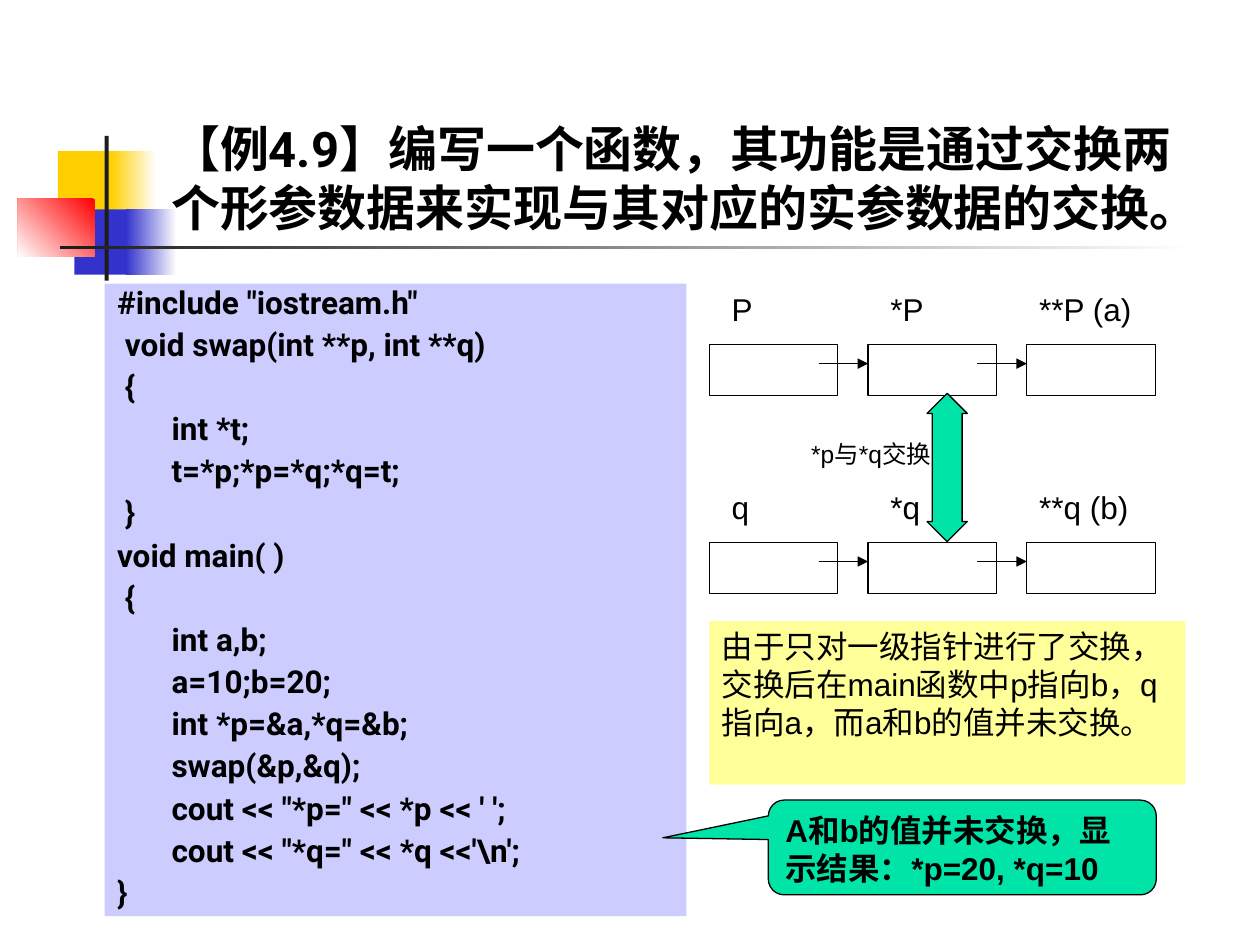
from lxml import etree
from pptx import Presentation
from pptx.dml.color import RGBColor
from pptx.enum.shapes import MSO_CONNECTOR, MSO_SHAPE
from pptx.enum.text import MSO_ANCHOR, PP_ALIGN
from pptx.oxml.ns import qn
from pptx.util import Cm, Pt

RECTANGLE = MSO_SHAPE.RECTANGLE
DOUBLE_ARROW = MSO_SHAPE.UP_DOWN_ARROW
CALLOUT = MSO_SHAPE.ROUNDED_RECTANGULAR_CALLOUT
STRAIGHT = MSO_CONNECTOR.STRAIGHT
TOP, BOTTOM = MSO_ANCHOR.TOP, MSO_ANCHOR.BOTTOM
LEFT = PP_ALIGN.LEFT

BLACK = RGBColor(0x00, 0x00, 0x00)
WHITE = RGBColor(0xFF, 0xFF, 0xFF)
CHARCOAL = RGBColor(0x1C, 0x1C, 0x1C)
GOLD = RGBColor(0xFF, 0xCF, 0x01)
BLUE = RGBColor(0x33, 0x33, 0xCC)
RED = RGBColor(0xFF, 0x00, 0x00)
LAVENDER = RGBColor(0xCC, 0xCC, 0xFF)
GREEN = RGBColor(0x00, 0xE4, 0xA8)
YELLOW = RGBColor(0xFF, 0xFF, 0x99)

TITLE_PARTS = [
    ("【例", "Times New Roman"),
    ("4.9", "Roboto"),
    ("】编写一个函数，其功能是通过交换两个形参数据来实现与其对应的实参数据的交换。",
     "Times New Roman"),
]
CODE_INDENTS = [0, 0.16, 1.1]
CODE_LINES = [
    (0, '#include "iostream.h"'),
    (1, "void swap(int **p, int **q)"),
    (1, "{"),
    (2, "int *t;"),
    (2, "t=*p;*p=*q;*q=t;"),
    (1, "}"),
    (0, "void main( )"),
    (1, "{"),
    (2, "int a,b;"),
    (2, "a=10;b=20;"),
    (2, "int *p=&a,*q=&b;"),
    (2, "swap(&p,&q);"),
    (2, "cout << \"*p=\" << *p << ' ';"),
    (2, "cout << \"*q=\" << *q <<'\\n';"),
    (0, "}"),
]


def add_box(slide, box, fill=None, line=None, kind=RECTANGLE):
    shape = slide.shapes.add_shape(kind, *map(Cm, box))
    shape.shadow.inherit = False
    if fill is None:
        shape.fill.background()
    else:
        shape.fill.solid()
        shape.fill.fore_color.rgb = fill
    if line is None:
        shape.line.fill.background()
    else:
        shape.line.color.rgb = line
        shape.line.width = Pt(0.75)
    return shape


def add_gradient(slide, box, colors, angle):
    shape = add_box(slide, box)
    shape.fill.gradient()
    shape.fill.gradient_angle = angle
    for stop, color in zip(shape.fill.gradient_stops, colors):
        stop.color.rgb = color


def style_run(run, size, font="Arial", bold=False):
    run.font.size = Pt(size)
    run.font.name = font
    run.font.bold = bold
    run.font.color.rgb = BLACK


def write(shape, text, size=18, bold=False):
    frame = shape.text_frame
    frame.word_wrap = True
    frame.vertical_anchor = TOP
    frame.text = text
    paragraph = frame.paragraphs[0]
    paragraph.alignment = LEFT
    style_run(paragraph.runs[0], size, bold=bold)


def add_label(slide, box, text, size=18):
    write(slide.shapes.add_textbox(*map(Cm, box)), text, size)


def add_arrow(slide, left, right, y):
    arrow = slide.shapes.add_connector(STRAIGHT, Cm(left), Cm(y), Cm(right), Cm(y))
    arrow.line.color.rgb = BLACK
    arrow.line.width = Pt(0.75)
    etree.SubElement(arrow.line._get_or_add_ln(), qn("a:tailEnd"), type="triangle")
    etree.SubElement(arrow._element.spPr, qn("a:effectLst"))


def draw_ornament(slide, box):
    left, top, width, height = box
    middle = top + 1.48
    add_box(slide, (left + 0.81, top + 0.31, 1.22, 1.32), GOLD)
    add_gradient(slide, (left + 1.88, top + 0.31, 0.91, 1.32), (WHITE, GOLD), 180)
    add_box(slide, (left + 1.14, middle, 1.17, 1.32), BLUE)
    add_gradient(slide, (left + 2.18, middle, 1.02, 1.32), (WHITE, BLUE), 180)
    add_gradient(slide, (left, top + 1.27, 1.55, 1.17), (RED, WHITE), 225)
    add_box(slide, (left + 1.75, top, 0.08, height), CHARCOAL)
    add_gradient(slide, (left + 0.86, top + 2.21, width - 0.86, 0.08),
                 (WHITE, CHARCOAL), 180)


def draw_title(slide, box):
    frame = slide.shapes.add_textbox(*map(Cm, box)).text_frame
    frame.word_wrap = True
    frame.vertical_anchor = BOTTOM
    for text, font in TITLE_PARTS:
        run = frame.paragraphs[0].add_run()
        run.text = text
        style_run(run, 28, font, True)


def draw_code(slide, box):
    frame = add_box(slide, box, LAVENDER).text_frame
    frame.word_wrap = True
    frame.vertical_anchor = TOP
    frame.text = "\n".join(text for _, text in CODE_LINES)
    for paragraph, (level, _) in zip(frame.paragraphs, CODE_LINES):
        paragraph.alignment = LEFT
        paragraph.line_spacing = 0.8
        paragraph.space_before = Pt(6.8)
        paragraph._p.get_or_add_pPr().set("marL", str(Cm(CODE_INDENTS[level])))
        style_run(paragraph.runs[0], 18, "Roboto", True)


def draw_pointer_row(slide, left, top, labels):
    cell_width, pitch = 2.59, 3.2
    last = len(labels) - 1
    for index, label in enumerate(labels):
        cell_left = left + index * pitch
        add_box(slide, (cell_left, top + 1.22, cell_width, 1.04), line=BLACK)
        if index < last:
            add_label(slide, (cell_left + 0.2, top, 2, 1.02), label)
            add_arrow(slide, cell_left + 2.2, cell_left + pitch, top + 1.61)
        else:
            add_label(slide, (cell_left, top, cell_width, 1.02), label)


def draw_swap_diagram(slide, box):
    left, top, _, height = box
    draw_pointer_row(slide, left, top + height - 2.26, ["q", "*q", "**q (b)"])
    draw_pointer_row(slide, left, top, ["P", "*P", "**P (a)"])
    arrow = add_box(slide, (left + 4.39, top + 2.21, 0.81, 2.99), GREEN, BLACK, DOUBLE_ARROW)
    arrow.adjustments[0] = 0.5
    arrow.adjustments[1] = 0.745
    add_label(slide, (left + 1.8, top + 3, 3.2, 1.45), "*p与*q交换", 14)


def draw_note(slide, box):
    write(add_box(slide, box, YELLOW),
          "由于只对一级指针进行了交换，交换后在main函数中p指向b，q指向a，而a和b的值并未交换。")


def draw_result(slide, box):
    callout = add_box(slide, box, GREEN, BLACK, CALLOUT)
    for index, value in enumerate((-0.772, -0.102, 0.167)):
        callout.adjustments[index] = value
    write(callout, "A和b的值并未交换，显示结果：*p=20, *q=10", bold=True)


def main():
    presentation = Presentation()
    presentation.slide_width = Cm(25.4)
    presentation.slide_height = Cm(19.05)
    slide = presentation.slides.add_slide(presentation.slide_layouts[6])
    draw_ornament(slide, (0.36, 2.74, 23.72, 2.92))
    draw_title(slide, (3.2, 1.7, 21.64, 3.18))
    draw_code(slide, (2.11, 5.72, 11.73, 12.75))
    draw_swap_diagram(slide, (14.3, 5.72, 8.99, 6.25))
    draw_note(slide, (14.3, 12.52, 9.6, 3.3))
    draw_result(slide, (15.49, 16.13, 7.82, 1.91))
    presentation.save("out.pptx")


if __name__ == "__main__":
    main()
